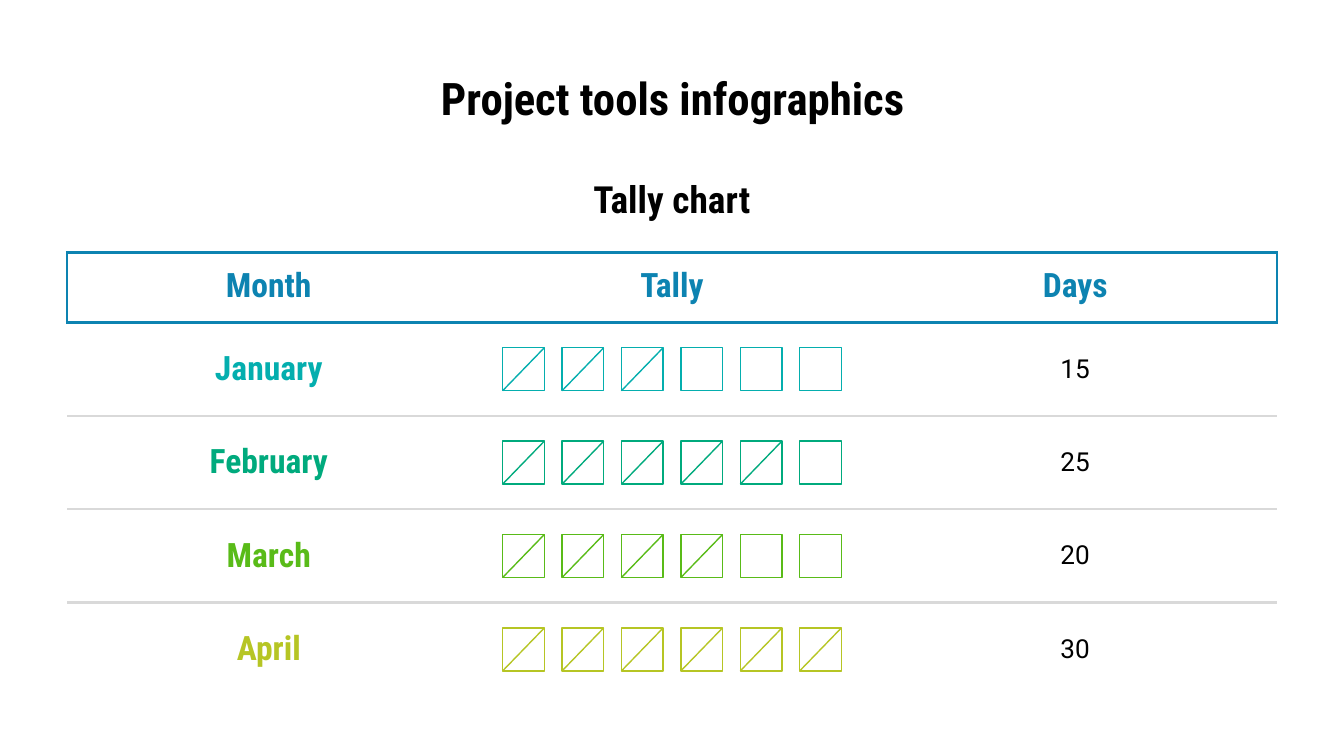
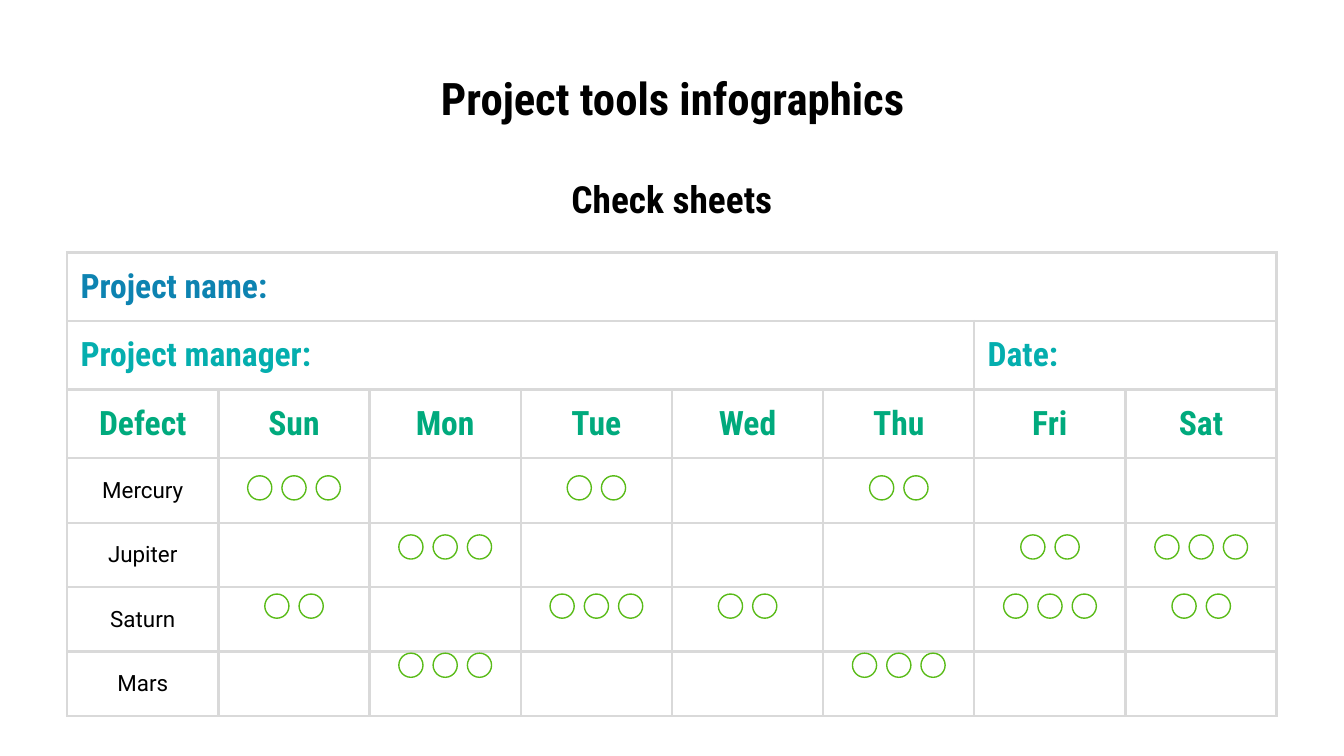
import dataclasses
import lxml.etree
import pptx
import pptx.dml.color
import pptx.enum.shapes
import pptx.enum.text
import pptx.oxml.ns
import pptx.util

Inches = pptx.util.Inches
Pt = pptx.util.Pt
Align = pptx.enum.text.PP_ALIGN
Anchor = pptx.enum.text.MSO_ANCHOR
Kind = pptx.enum.shapes.MSO_SHAPE
qn = pptx.oxml.ns.qn


@dataclasses.dataclass(frozen=True)
class Theme:
    black: str = "000000"
    grey: str = "D9D9D9"
    blue: str = "0D83B1"
    teal: str = "04AEAE"
    green: str = "00AA7D"
    lime: str = "59BB18"
    olive: str = "B6C524"
    head: str = "Roboto Condensed"
    body: str = "Roboto"
    title: int = 24
    sub: int = 20
    label: int = 18
    days: int = 14
    small: int = 12
    rule: float = 1.5
    thin: float = 0.75


T = Theme()


@dataclasses.dataclass(frozen=True)
class Box:
    x: float
    y: float
    w: float
    h: float

    def lengths(self):
        return [Inches(v) for v in (self.x, self.y, self.w, self.h)]


WIDE = 10
HIGH = WIDE * 9 / 16
TITLE = Box(0.79, 0.49, 8.43, 0.47)
SUB = Box(3.27, 1.27, 3.46, 0.41)
GRID = Box(0.5, 1.88, 9, 3.3)


# Text and line styles
def style(size, color, bold=True):
    return dict(size=Pt(size), name=T.head if bold else T.body,
                bold=bold, color=color)


def rgb(color):
    return pptx.dml.color.RGBColor.from_string(color)


def write(frame, text, look, align=Align.CENTER):
    par = frame.paragraphs[0]
    par.alignment = align
    run = par.add_run()
    run.text = text
    for key, value in look.items():
        if key == "color":
            run.font.color.rgb = rgb(value)
        else:
            setattr(run.font, key, value)


def pad(item, form):
    sides = ("left", "right", "top", "bottom")
    form = form | {f"margin_{side}": Inches(0.1) for side in sides}
    for key, value in form.items():
        setattr(item, key, value)


def ink(shape, color):
    shape.line.color.rgb = rgb(color)
    shape.line.width = Pt(T.thin)


def mark(slide, kind, box, color):
    shape = slide.shapes.add_shape(kind, *box.lengths())
    shape.shadow.inherit = False
    shape.fill.background()
    ink(shape, color)


def slash(slide, box, color):
    line = slide.shapes.add_connector(
        pptx.enum.shapes.MSO_CONNECTOR.STRAIGHT,
        Inches(box.x + box.w), Inches(box.y),
        Inches(box.x), Inches(box.y + box.h))
    ink(line, color)
    lxml.etree.SubElement(line._element.spPr, qn("a:effectLst"))


# Title and subtitle shared by both slides
def heading(deck, text):
    slide = deck.slides.add_slide(deck.slide_layouts[5])
    title = slide.shapes.title
    for key, value in zip(("left", "top", "width", "height"), TITLE.lengths()):
        setattr(title, key, value)
    sub = slide.shapes.add_textbox(*SUB.lengths())
    for shape, words, size in ((title, "Project tools infographics", T.title),
                               (sub, text, T.sub)):
        pad(shape.text_frame,
            dict(word_wrap=True, vertical_anchor=Anchor.MIDDLE,
                 auto_size=pptx.enum.text.MSO_AUTO_SIZE.NONE))
        write(shape.text_frame, words, style(size, T.black))
    return slide


# Tables
def edge(cell, sides):
    props = cell._tc.get_or_add_tcPr()
    for spot, side in enumerate("LRTB"):
        line = lxml.etree.Element(qn(f"a:ln{side}"), w=str(Pt(T.rule)))
        color = sides.get(side)
        if color:
            fill = lxml.etree.SubElement(line, qn("a:solidFill"))
            lxml.etree.SubElement(fill, qn("a:srgbClr"), val=color)
        else:
            lxml.etree.SubElement(line, qn("a:noFill"))
        props.insert(spot, line)


def add_grid(slide, box, cols, rows):
    table = slide.shapes.add_table(len(rows), cols, *box.lengths()).table
    table.first_row = table.horz_banding = False
    for col in table.columns:
        col.width = Inches(box.w / cols)
    for row, high in zip(table.rows, rows):
        row.height = Inches(high)
    for cell in table.iter_cells():
        cell.fill.background()
        pad(cell, dict(vertical_anchor=Anchor.MIDDLE))
    return table


# Small type keeps empty cells from stretching their rows
def shrink(table):
    for cell in table.iter_cells():
        if not cell.text:
            par = cell.text_frame.paragraphs[0]._p
            lxml.etree.SubElement(par, qn("a:endParaRPr"),
                                  sz=str(T.small * 100))


def tally(slide, box):
    months = (("January", T.teal, 3, 15), ("February", T.green, 5, 25),
              ("March", T.lime, 4, 20), ("April", T.olive, 6, 30))
    top, high = 0.52, 0.695
    table = add_grid(slide, box, 3, [top] + [high] * len(months))

    # Header row
    for col, text in enumerate(("Month", "Tally", "Days")):
        cell = table.cell(0, col)
        cell.vertical_anchor = Anchor.TOP
        write(cell.text_frame, text, style(T.label, T.blue))
        edge(cell, dict(T=T.blue, B=T.blue, L=T.blue if col == 0 else None,
                        R=T.blue if col == 2 else None))

    # One row a month, with six squares
    wide, tall, step = 0.31, 0.32, 2.21 / 5
    left = box.x + (box.w - 5 * step - wide) / 2
    for row, (name, color, done, days) in enumerate(months, 1):
        write(table.cell(row, 0).text_frame, name, style(T.label, color))
        write(table.cell(row, 2).text_frame, str(days),
              style(T.days, T.black, False))
        for col in range(3):
            edge(table.cell(row, col),
                 dict(T=T.blue if row == 1 else T.grey,
                      B=T.grey if row < len(months) else None))
        y = box.y + top + high * (row - 1) + (high - tall) / 2
        for num in range(6):
            spot = Box(left + num * step, y, wide, tall)
            mark(slide, Kind.RECTANGLE, spot, color)
            if num < done:
                slash(slide, spot, color)
    shrink(table)


def checks(slide, box):
    days = ("Defect", "Sun", "Mon", "Tue", "Wed", "Thu", "Fri", "Sat")
    counts = {"Mercury": (3, 0, 2, 0, 2, 0, 0),
              "Jupiter": (0, 3, 0, 0, 0, 2, 3),
              "Saturn": (2, 0, 3, 2, 0, 3, 2),
              "Mars": (0, 3, 0, 0, 3, 0, 0)}
    table = add_grid(slide, box, len(days), [0.51] * 3 + [0.48] * len(counts))
    for cell in table.iter_cells():
        edge(cell, dict.fromkeys("LRTB", T.grey))

    # Project fields
    for row, first, last, text, color in (
            (0, 0, 7, "Project name:", T.blue),
            (1, 0, 5, "Project manager:", T.teal),
            (1, 6, 7, "Date:", T.teal)):
        cell = table.cell(row, first)
        cell.merge(table.cell(row, last))
        write(cell.text_frame, text, style(T.label, color), Align.LEFT)

    # Days, defects and circles
    for col, day in enumerate(days):
        write(table.cell(2, col).text_frame, day, style(T.label, T.green))
    wide, size, step = box.w / len(days), 0.18, 0.51 / 2
    for row, (name, nums) in enumerate(counts.items()):
        write(table.cell(row + 3, 0).text_frame, name,
              style(T.small, T.black, False))
        for col, count in enumerate(nums, 1):
            mid = box.x + wide * (col + 0.5)
            left = mid - ((count - 1) * step + size) / 2
            for num in range(count):
                mark(slide, Kind.OVAL,
                     Box(left + num * step, box.y + 1.66 + 0.44 * row,
                         size, size), T.lime)
    shrink(table)


def main():
    deck = pptx.Presentation()
    deck.slide_width, deck.slide_height = Inches(WIDE), Inches(HIGH)
    tally(heading(deck, "Tally chart"), GRID)
    checks(heading(deck, "Check sheets"), GRID)
    deck.save("out.pptx")


if __name__ == "__main__":
    main()
